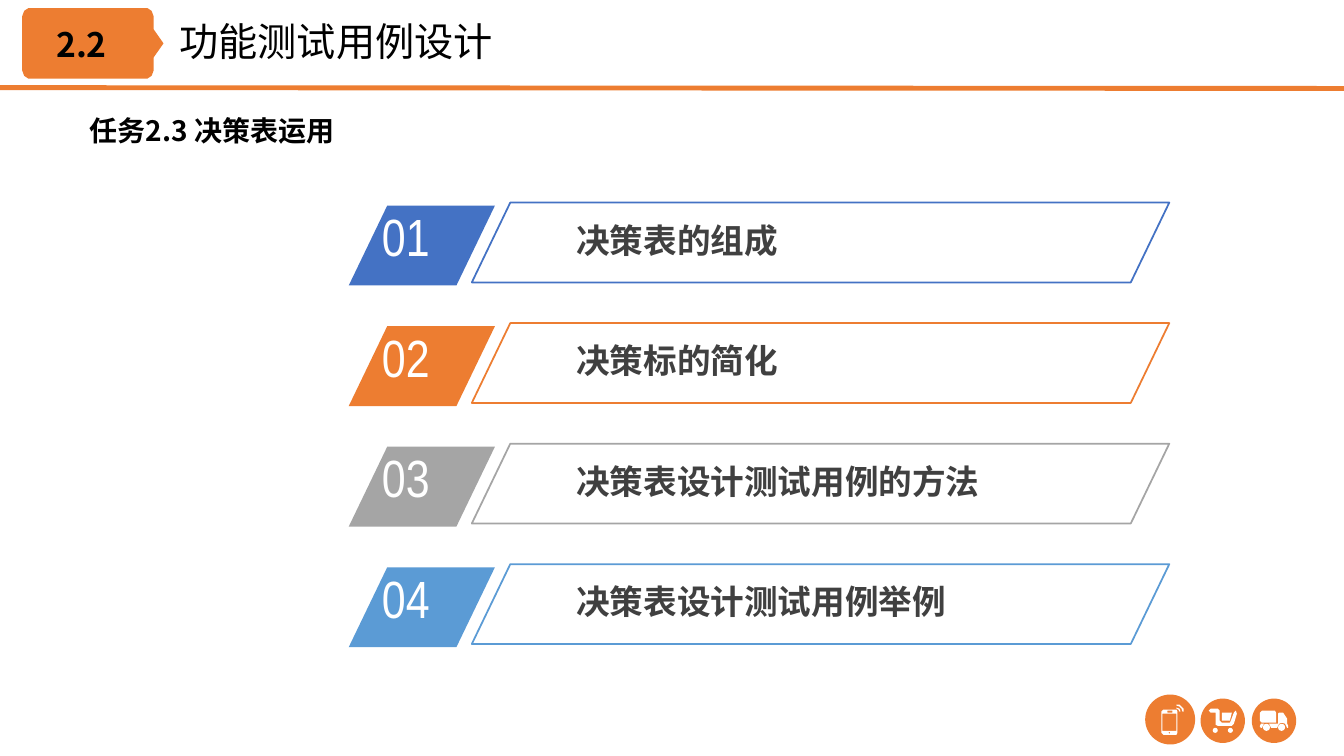
import pptx
import pptx.util
import pptx.dml.color
import pptx.enum.shapes
import pptx.enum.text
import pptx.oxml
import pptx.oxml.ns

Pt = pptx.util.Pt
SHAPES = pptx.enum.shapes.MSO_SHAPE
SANS = "Noto Sans CJK SC"
ORANGE = "ED7D31"
WHITE = "FFFFFF"
ICON_UNIT = 0.72

TOPICS = [
    ("01", "决策表的组成", "4472C4"),
    ("02", "决策标的简化", ORANGE),
    ("03", "决策表设计测试用例的方法", "A5A5A5"),
    ("04", "决策表设计测试用例举例", "5B9BD5"),
]

PHONE = [
    [(18, 15), (31, 15), (32, 17), (32, 38), (31, 40), (18, 40), (16, 38), (16, 17)],
    [(17, 19), (17, 36), (31, 36), (31, 19)],
    [(22, 16), (22, 18), (27, 18), (27, 16)],
    [(23, 38), (24, 39), (25, 38), (24, 37)],
    [(31, 10), (34, 10), (36, 12), (38, 14), (38, 17), (37, 17), (36, 14), (34, 12), (31, 11)],
    [(31, 13), (34, 14), (35, 17), (34, 17), (33, 15), (31, 14)],
]
CART = [
    [(35, 12), (33, 14), (30, 22), (29, 24), (21, 24), (19, 22), (19, 12), (17, 10),
     (10, 10), (8, 12), (10, 14), (15, 14), (15, 26), (17, 27), (31, 27), (33, 25), (36, 15)],
    [(31, 14), (21, 14), (21, 22), (29, 22)],
]
TRUCK = [
    [(8, 14), (10, 12), (23, 12), (24, 14), (24, 24), (10, 24), (8, 22)],
    [(35, 25), (35, 20), (31, 14), (27, 14), (26, 15), (26, 25), (17, 25), (19, 29),
     (25, 29), (27, 25), (30, 24), (33, 25), (35, 29), (36, 29), (36, 27)],
    [(12, 25), (9, 25), (8, 27), (8, 28), (9, 29), (10, 29)],
]


def color(value):
    return pptx.dml.color.RGBColor.from_string(value)


def paint(shape, fill=None, line=None):
    shape.shadow.inherit = False
    if fill:
        shape.fill.solid()
        shape.fill.fore_color.rgb = color(fill)
    else:
        shape.fill.background()
    if line:
        shape.line.color.rgb = color(line)
        shape.line.width = Pt(1.25)
    else:
        shape.line.fill.background()


def add_preset(page, kind, left, top, width, height, adjustment=None, **paints):
    shape = page.shapes.add_shape(kind, Pt(left), Pt(top), Pt(width), Pt(height))
    if adjustment is not None:
        shape.adjustments[0] = adjustment
    paint(shape, **paints)


def add_outline(page, left, top, contours, fill, unit=1):
    scaled = [[(Pt(left + x * unit), Pt(top + y * unit)) for x, y in contour]
              for contour in contours]
    builder = page.shapes.build_freeform(*scaled[0][0], scale=1.0)
    builder.add_line_segments(scaled[0][1:], close=True)
    for contour in scaled[1:]:
        builder.move_to(*contour[0])
        builder.add_line_segments(contour[1:], close=True)
    paint(builder.convert_to_shape(), fill=fill)


def write_text(box, text, size, font=SANS, ink="000000", bold=False, indent=0, spacing=1.0):
    frame = box.text_frame
    frame.word_wrap = True
    frame.auto_size = pptx.enum.text.MSO_AUTO_SIZE.NONE
    frame.vertical_anchor = pptx.enum.text.MSO_ANCHOR.TOP
    para = frame.paragraphs[0]
    para.alignment = pptx.enum.text.PP_ALIGN.LEFT
    para.line_spacing = spacing
    if indent:
        para._p.get_or_add_pPr().set("indent", str(Pt(indent)))
    span = para.add_run()
    span.text = text
    span.font.size = Pt(size)
    span.font.bold = bold
    span.font.color.rgb = color(ink)
    span.font.name = font
    east_asian = pptx.oxml.parse_xml(
        f'<a:ea {pptx.oxml.ns.nsdecls("a")} typeface="{font}"/>')
    span.font._element.append(east_asian)


def add_text(page, left, top, width, height, text, size, **style):
    box = page.shapes.add_textbox(Pt(left), Pt(top), Pt(width), Pt(height))
    write_text(box, text, size, **style)


def add_header(page, left, top, width, height):
    rule = page.shapes.add_connector(
        pptx.enum.shapes.MSO_CONNECTOR.STRAIGHT,
        Pt(left), Pt(top + height - 0.6), Pt(left + width), Pt(top + height))
    rule.line.color.rgb = color(ORANGE)
    rule.line.width = Pt(3.5)
    rule._element.spPr.append(
        pptx.oxml.parse_xml(f'<a:effectLst {pptx.oxml.ns.nsdecls("a")}/>'))
    tag = [(4.5, 0), (89.5, 0), (92.5, 2), (94, 6), (94, 15.2), (101, 25.2),
           (94, 35.2), (94, 44.4), (92.5, 48.4), (89.5, 50.4), (4.5, 50.4),
           (1.5, 48.4), (0, 44.4), (0, 6), (1.5, 2)]
    add_outline(page, left + 15.8, top + 5.8, [tag], ORANGE)
    add_text(page, left + 33.1, top + 13.7, 68.4, 36, "2.2", 24, bold=True)
    title = page.shapes.title
    title.left, title.top = Pt(left + 121), Pt(top + 8.6)
    title.width, title.height = Pt(354), Pt(41)
    write_text(title, "功能测试用例设计", 28)


def add_topic(page, left, top, number, text, accent):
    slant = 0.482
    add_preset(page, SHAPES.PARALLELOGRAM, left, top + 2.2, 104.4, 57, slant, fill=accent)
    add_text(page, left + 16.6, top - 2.4, 99.4, 52.6, number, 37.4,
             font="Arial Narrow", ink=WHITE)
    add_text(page, left + 155.5, top + 8.7, 401, 36, text, 24, ink="404040", bold=True)
    add_preset(page, SHAPES.PARALLELOGRAM, left + 87.9, top, 498.2, 57, slant, line=accent)


def add_topics(page, left, top, pitch):
    for row, topic in enumerate(TOPICS):
        add_topic(page, left, top + row * pitch, *topic)


def add_badge(page, left, top, size, icon, wheels=(), wheel_size=0):
    add_preset(page, SHAPES.OVAL, left, top, size, size, fill=ORANGE)
    add_outline(page, left, top, icon, WHITE, ICON_UNIT)
    for x, y in wheels:
        add_preset(page, SHAPES.OVAL, left + x * ICON_UNIT, top + y * ICON_UNIT,
                   wheel_size * ICON_UNIT, wheel_size * ICON_UNIT, fill=WHITE)


def add_badges(page, left, top):
    add_badge(page, left, top, 35.7, PHONE)
    add_badge(page, left + 39.6, top + 2.9, 31.7, CART, [(12, 29), (27, 29)], 5)
    add_badge(page, left + 76.2, top + 2.9, 31.7, TRUCK, [(11, 25), (26, 25)], 7)


def main():
    deck = pptx.Presentation()
    deck.slide_width, deck.slide_height = Pt(960), Pt(540)
    page = deck.slides.add_slide(deck.slide_layouts[5])
    add_header(page, 0, 0, 960, 63.2)
    add_badges(page, 818, 496.1)
    add_text(page, 20.9, 65.5, 914.4, 43.2, "任务2.3 决策表运用", 20,
             bold=True, indent=36, spacing=1.5)
    add_topics(page, 249.1, 144.7, 86.1)
    deck.save("out.pptx")


if __name__ == "__main__":
    main()
